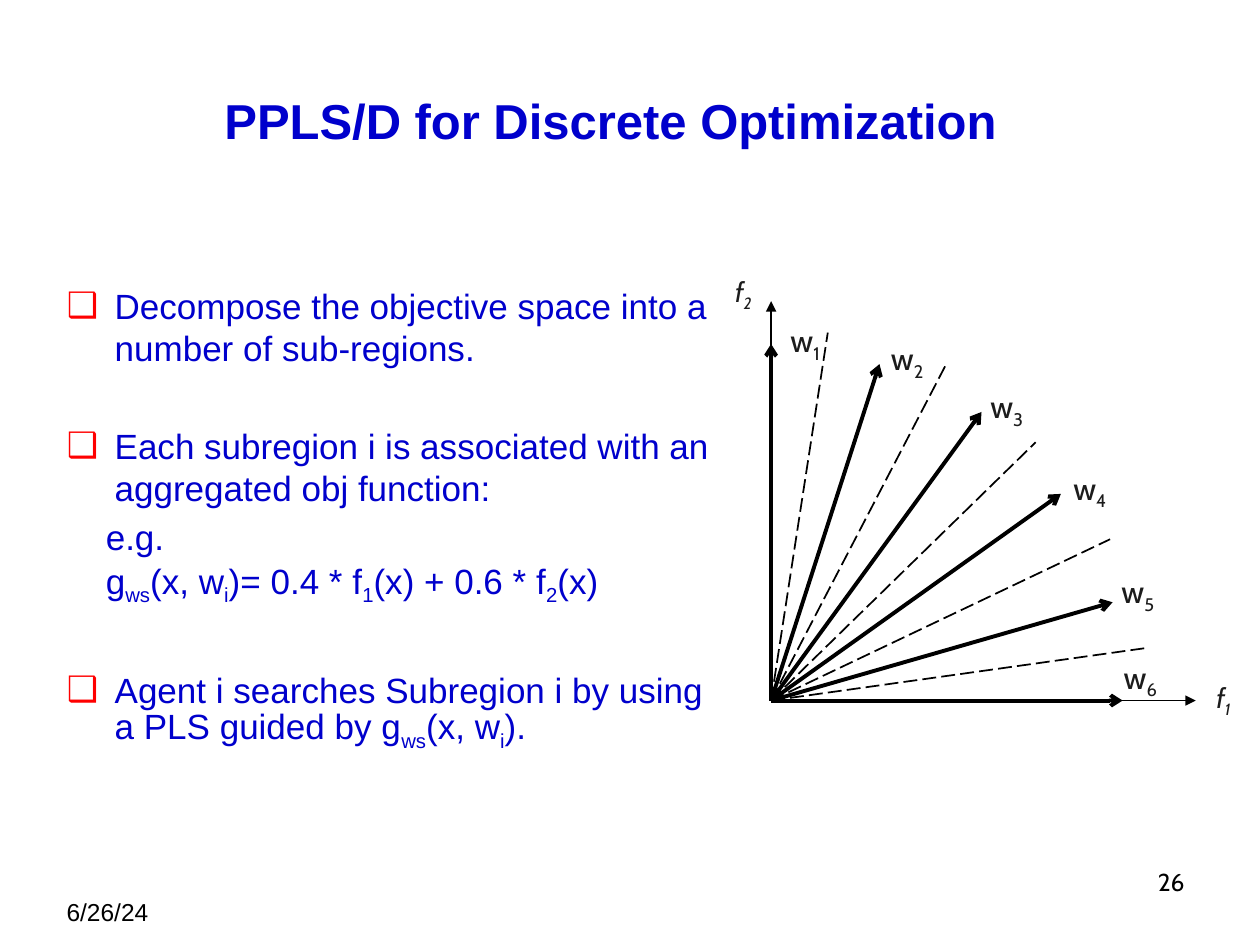
from lxml.etree import SubElement
from pptx import Presentation
from pptx.dml.color import RGBColor
from pptx.enum.dml import MSO_LINE
from pptx.enum.shapes import MSO_CONNECTOR
from pptx.enum.text import MSO_ANCHOR, MSO_AUTO_SIZE, PP_ALIGN
from pptx.oxml.ns import qn
from pptx.util import Inches, Pt

COLORS = {"blue": "0000CC", "red": "FF0000", "black": "000000", "label": "1C1C1C"}

TITLE = "PPLS/D for Discrete Optimization"
# Text between "~" marks is subscript: (text, bulleted, space before in points)
BODY = [
    ("Decompose the objective space into a number of sub-regions.", True, 0),
    ("Each subregion i is associated with an aggregated obj function:", True, 32),
    ("e.g.", False, 4),
    ("g~ws~(x, w~i~)= 0.4 * f~1~(x) + 0.6 * f~2~(x)", False, 4),
    ("Agent i searches Subregion i by using a PLS guided by g~ws~(x, w~i~).", True, 35),
]
# (text, left, top, alignment, font)
FOOTERS = [
    ("6/26/24", 0.43, 7.07, PP_ALIGN.LEFT, "Arial"),
    ("26", 7.17, 6.83, PP_ALIGN.RIGHT, "Cabin"),
]

ORIGIN = (6.12, 5.56)
# (label, arrow tip, label corner)
AXES = [
    ("f~2~", (6.12, 2.39), (5.72, 2.13)),
    ("f~1~", (9.49, 5.56), (9.53, 5.35)),
]
WEIGHTS = [
    ("w~1~", (6.12, 2.73), (6.15, 2.5)),
    ("w~2~", (6.98, 2.89), (6.96, 2.64)),
    ("w~3~", (7.79, 3.27), (7.75, 3.02)),
    ("w~4~", (8.42, 3.92), (8.41, 3.67)),
    ("w~5~", (8.83, 4.78), (8.79, 4.49)),
    ("w~6~", (8.91, 5.56), (8.81, 5.17)),
]
BOUNDARY_ENDS = [(6.57, 2.64), (7.51, 2.89), (8.22, 3.51), (8.81, 4.28), (9.12, 5.14)]


def rgb(name):
    return RGBColor.from_string(COLORS[name])


def write(para, text, size, color, font="Arial", bold=False, italic=False):
    """Fill a paragraph, lowering every part that stands between "~" marks."""
    para.font.size, para.font.name = Pt(size), font
    para.font.bold, para.font.italic = bold, italic
    para.font.color.rgb = rgb(color)
    for index, part in enumerate(text.split("~")):
        span = para.add_run()
        span.text = part
        if index % 2:
            span._r.get_or_add_rPr().set("baseline", "-25000")


def set_bullet(para, bulleted):
    props = para._p.get_or_add_pPr()
    margin, indent = (0.38, -0.38) if bulleted else (0.31, 0)
    props.set("marL", str(Inches(margin)))
    props.set("indent", str(Inches(indent)))
    if bulleted:
        color = SubElement(props, qn("a:buClr"))
        SubElement(color, qn("a:srgbClr"), val=COLORS["red"])
        SubElement(props, qn("a:buChar"), char="❑")
    else:
        SubElement(props, qn("a:buNone"))


def place(shape, left, top, width, height):
    shape.left, shape.top = Inches(left), Inches(top)
    shape.width, shape.height = Inches(width), Inches(height)


def add_ray(shapes, end, width, head=None, dashed=False):
    ray = shapes.add_connector(
        MSO_CONNECTOR.STRAIGHT, *(Inches(value) for value in ORIGIN + end))
    ray.line.color.rgb = rgb("black")
    ray.line.width = Pt(width)
    if dashed:
        ray.line.dash_style = MSO_LINE.LONG_DASH
    if head:
        SubElement(ray.line._get_or_add_ln(), qn("a:tailEnd"), type=head)
    SubElement(ray._element.spPr, qn("a:effectLst"))


def add_label(shapes, text, corner, width, height, size, italic=False):
    box = shapes.add_textbox(*(Inches(value) for value in (*corner, width, height)))
    box.text_frame.word_wrap = False
    box.text_frame.auto_size = MSO_AUTO_SIZE.SHAPE_TO_FIT_TEXT
    para = box.text_frame.paragraphs[0]
    para.alignment = PP_ALIGN.CENTER
    write(para, text, size, "label", "Cabin", italic=italic)


def main():
    deck = Presentation()
    deck.slide_width, deck.slide_height = Inches(10), Inches(7.5)
    page = deck.slides.add_slide(deck.slide_layouts[1])

    title, body = page.placeholders
    place(title, -0.35, 0.33, 10.39, 1.25)
    title.text_frame.auto_size = MSO_AUTO_SIZE.NONE
    title.text_frame.vertical_anchor = MSO_ANCHOR.MIDDLE
    heading = title.text_frame.paragraphs[0]
    heading.alignment = PP_ALIGN.CENTER
    write(heading, TITLE, 28, "blue", bold=True)

    place(body, 0.43, 2.21, 5.36, 4.5)
    frame = body.text_frame
    frame.auto_size = MSO_AUTO_SIZE.NONE
    for index, (text, bulleted, gap) in enumerate(BODY):
        para = frame.add_paragraph() if index else frame.paragraphs[0]
        para.level = 0 if bulleted else 1
        set_bullet(para, bulleted)
        para.line_spacing = Pt(24)
        para.space_before = Pt(gap)
        write(para, text, 20, "blue")

    for text, left, top, alignment, font in FOOTERS:
        box = page.shapes.add_textbox(
            Inches(left), Inches(top), Inches(2.33), Inches(0.52))
        box.text_frame.word_wrap = True
        para = box.text_frame.paragraphs[0]
        para.alignment = alignment
        write(para, text, 14, "black", font)

    diagram = page.shapes.add_group_shape().shapes
    for text, tip, corner in AXES:
        add_ray(diagram, tip, 0.75, head="triangle")
        add_label(diagram, text, corner, 0.36, 0.37, 16, italic=True)
    for text, tip, corner in WEIGHTS:
        add_ray(diagram, tip, 2.25, head="arrow")
        add_label(diagram, text, corner, 0.48, 0.4, 18)
    for end in BOUNDARY_ENDS:
        add_ray(diagram, end, 1, dashed=True)

    deck.save("out.pptx")


if __name__ == "__main__":
    main()
